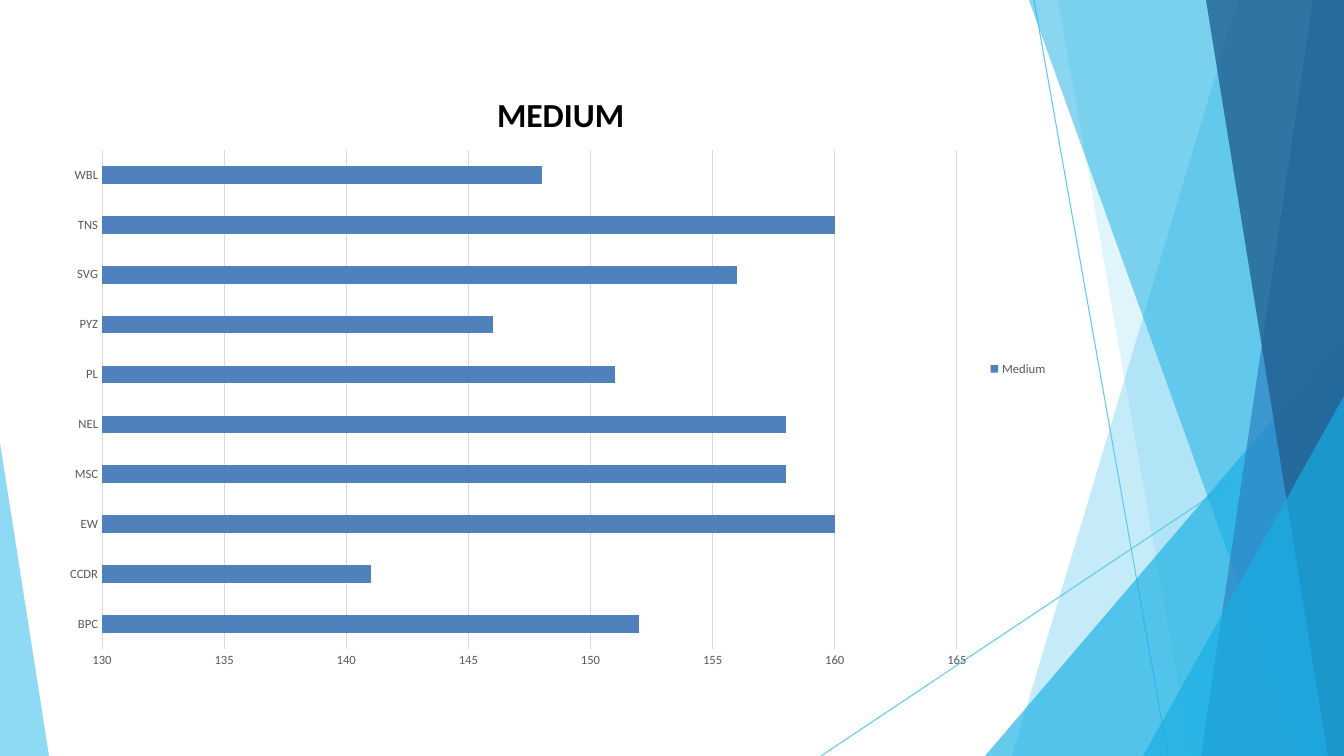
"""Build a slide with a faceted backdrop and a bar chart of medium scores."""
import lxml.etree
import pptx
import pptx.chart.data
import pptx.dml.color
import pptx.enum.chart
import pptx.oxml
import pptx.oxml.ns
import pptx.util

PX = 914400 / 100.8
WIDTH, HEIGHT = 1344, 756
FONT = "Calibri"
COLORS = {
    "sky": "5FCAEE", "cyan": "17AFE3", "blue": "2D83C3", "navy": "226192",
    "bar": "4F81BD", "grid": "D9D9D9", "label": "595959", "title": "000000",
}
LINES = [((1034, 0), (1168, 756)), ((1344, 407), (821, 756))]
FACETS = [
    ("sky", 36, [(1344, 0), (1238, 0), (1012, 756), (1344, 756)]),
    ("sky", 20, [(1344, 0), (1058, 0), (1191, 756), (1344, 756)]),
    ("cyan", 66, [(1344, 336), (985, 756), (1344, 756)]),
    ("cyan", 50, [(1344, 0), (1029, 0), (1301, 756), (1344, 756)]),
    ("blue", 70, [(1344, 0), (1313, 0), (1201, 756), (1344, 756)]),
    ("navy", 80, [(1344, 0), (1206, 0), (1328, 756), (1344, 756)]),
    ("cyan", 66, [(1344, 396), (1143, 756), (1344, 756)]),
    ("sky", 70, [(0, 443), (0, 756), (49, 756)]),
]
SCORES = {
    "BPC": 152, "CCDR": 141, "EW": 160, "MSC": 158, "NEL": 158,
    "PL": 151, "PYZ": 146, "SVG": 156, "TNS": 160, "WBL": 148,
}


def px(length):
    """Turn pixels into EMU."""
    return pptx.util.Emu(round(length * PX))


def rgb(name):
    """Return the named colour."""
    return pptx.dml.color.RGBColor.from_string(COLORS[name])


def style_font(font, size, color, bold=False):
    """Set the face, size, colour and weight of a font."""
    font.name, font.size, font.bold = FONT, pptx.util.Pt(size), bold
    font.color.rgb = rgb(color)


def style_line(line, color):
    """Give a line its colour and the common thin width."""
    line.color.rgb = rgb(color)
    line.width = pptx.util.Pt(0.75)


def add_outline(slide, box, points, closed):
    """Draw a freeform through points relative to the box."""
    left, top = box[:2]
    start, *rest = [(left + x, top + y) for x, y in points]
    builder = slide.shapes.build_freeform(*start, scale=PX)
    builder.add_line_segments(rest, close=closed)
    shape = builder.convert_to_shape()
    shape.shadow.inherit = False
    return shape


def add_backdrop(slide, box):
    """Draw the thin lines and translucent facets."""
    for points in LINES:
        shape = add_outline(slide, box, points, False)
        shape.fill.background()
        style_line(shape.line, "sky")
    for color, opacity, points in FACETS:
        shape = add_outline(slide, box, points, True)
        shape.fill.solid()
        shape.fill.fore_color.rgb = rgb(color)
        shape.line.fill.background()
        fill = shape.fill._xPr.find(".//" + pptx.oxml.ns.qn("a:srgbClr"))
        alpha = lxml.etree.SubElement(fill, pptx.oxml.ns.qn("a:alpha"))
        alpha.set("val", str(opacity * 1000))


def set_layout(parent, index, box, inner=None):
    """Place a chart part at x, y and optional w, h in px within the chart box."""
    for layout in parent.findall(pptx.oxml.ns.qn("c:layout")):
        parent.remove(layout)
    fields = [("layoutTarget", "inner")] if inner else []
    fields += [("xMode", "edge"), ("yMode", "edge")]
    part = inner or (441, 28)
    sizes = (box[2], box[3]) * 2
    fields += [(key, round(length / size, 4)) for key, length, size in zip("xywh", part, sizes)]
    body = "".join(f'<c:{key} val="{value}"/>' for key, value in fields)
    namespace = pptx.oxml.ns.nsdecls("c")
    parent.insert(index, pptx.oxml.parse_xml(
        f"<c:layout {namespace}><c:manualLayout>{body}</c:manualLayout></c:layout>"))


def style_axes(chart):
    """Format the category and value axes."""
    for axis in (chart.category_axis, chart.value_axis):
        axis.major_tick_mark = pptx.enum.chart.XL_TICK_MARK.NONE
        axis.minor_tick_mark = pptx.enum.chart.XL_TICK_MARK.NONE
        style_font(axis.tick_labels.font, 9, "label")
    chart.category_axis.has_major_gridlines = False
    style_line(chart.category_axis.format.line, "grid")
    values = chart.value_axis
    values.minimum_scale, values.maximum_scale, values.major_unit = 130, 165, 5
    values.format.line.fill.background()
    style_line(values.major_gridlines.format.line, "grid")


def add_score_chart(slide, box):
    """Add the titled bar chart inside the box."""
    data = pptx.chart.data.CategoryChartData(number_format="General")
    data.categories = list(SCORES)
    data.add_series("Medium", list(SCORES.values()))
    chart = slide.shapes.add_chart(
        pptx.enum.chart.XL_CHART_TYPE.BAR_CLUSTERED, *map(px, box), data).chart
    style_font(chart.font, 10, "title")
    chart.has_title = True
    chart.chart_title.text_frame.text = "MEDIUM"
    style_font(chart.chart_title.text_frame.paragraphs[0].font, 24, "title", True)
    chart.chart_title.include_in_layout = False
    set_layout(chart.chart_title._element, 1, box)
    set_layout(chart._chartSpace.chart.plotArea, 0, box, (52, 92, 855, 499))
    style_axes(chart)
    plot = chart.plots[0]
    plot.gap_width, plot.vary_by_categories = 182, False
    plot.series[0].format.fill.solid()
    plot.series[0].format.fill.fore_color.rgb = rgb("bar")
    chart.has_legend = True
    chart.legend.position = pptx.enum.chart.XL_LEGEND_POSITION.RIGHT
    chart.legend.include_in_layout = False
    style_font(chart.legend.font, 9, "label")


def main():
    """Build and save the presentation."""
    presentation = pptx.Presentation()
    presentation.slide_width, presentation.slide_height = px(WIDTH), px(HEIGHT)
    slide = presentation.slides.add_slide(presentation.slide_layouts[6])
    add_backdrop(slide, (0, 0, WIDTH, HEIGHT))
    add_score_chart(slide, (50, 58, 1008, 622))
    presentation.save("out.pptx")


if __name__ == "__main__":
    main()
